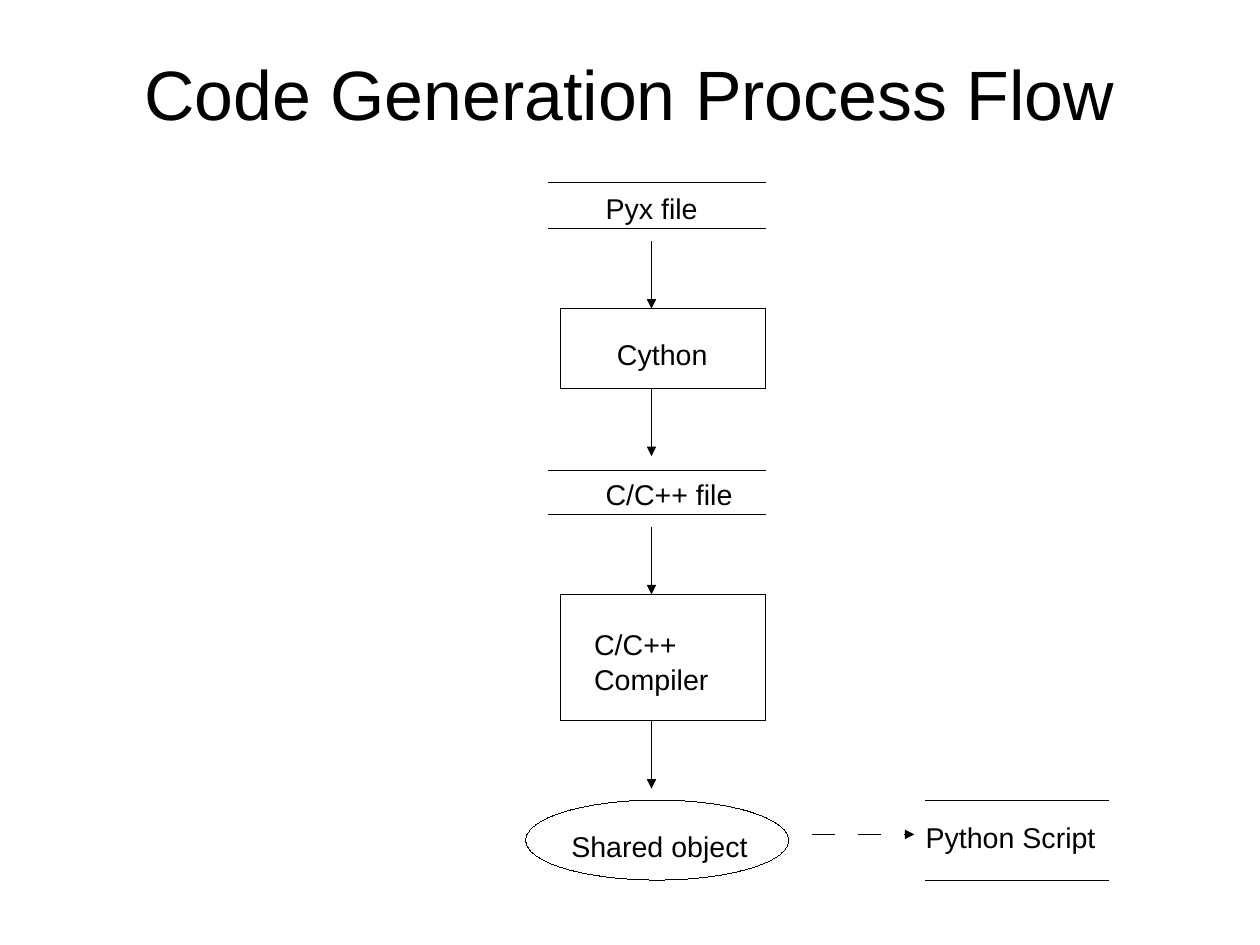
import pptx
import pptx.util
import pptx.dml.color
import pptx.enum.shapes
import pptx.enum.text
import pptx.oxml
import pptx.oxml.ns

COLORS = {"ink": "000000", "paper": "FFFFFF"}
FONT = "Arial"
INK = pptx.dml.color.RGBColor.from_string(COLORS["ink"])
SHAPE = pptx.enum.shapes.MSO_SHAPE
CELL = pptx.util.Inches(0.1)  # the slide is laid out on a 0.1 inch grid
HAIRLINE = pptx.util.Emu(1)  # a width of 0 would fall back to the theme's line

prs = pptx.Presentation()
prs.slide_width = pptx.util.Mm(280)
prs.slide_height = pptx.util.Mm(210)
s = prs.slides.add_slide(prs.slide_layouts[6])
s.background.fill.solid()
s.background.fill.fore_color.rgb = pptx.dml.color.RGBColor.from_string(COLORS["paper"])


def add_text(text, col, row, cols, rows, size=18):
    sp = s.shapes.add_textbox(*(int(n * CELL) for n in (col, row, cols, rows)))
    tf = sp.text_frame
    tf.word_wrap = True
    tf.text = text
    font = tf.paragraphs[0].runs[0].font
    font.size, font.name = pptx.util.Pt(size), FONT
    font.color.rgb = INK
    return tf


def add_line(x1, y1, x2, y2, arrow=False, dashed=False):
    """Draw a hairline between grid points, with its arrowhead at the second."""
    sp = s.shapes.add_connector(pptx.enum.shapes.MSO_CONNECTOR.STRAIGHT,
                                *(int(n * CELL) for n in (x1, y1, x2, y2)))
    sp.line.color.rgb = INK
    sp.line.width = HAIRLINE
    ln = sp._element.spPr.find(pptx.oxml.ns.qn("a:ln"))
    ns = pptx.oxml.ns.nsdecls("a")
    if dashed:
        ln.append(pptx.oxml.parse_xml(
            f'<a:custDash {ns}><a:ds d="1900000" sp="1900000"/></a:custDash>'))
    if arrow:
        ln.append(pptx.oxml.parse_xml(f'<a:tailEnd {ns} type="triangle"/>'))
    sp._element.spPr.append(pptx.oxml.parse_xml(f"<a:effectLst {ns}/>"))


# Title
tf = add_text("Code Generation Process Flow", 5.5, 1.2, 99.2, 13.8, size=44)
tf.margin_left = tf.margin_right = tf.margin_top = tf.margin_bottom = 0
tf.vertical_anchor = pptx.enum.text.MSO_ANCHOR.MIDDLE
tf.paragraphs[0].alignment = pptx.enum.text.PP_ALIGN.CENTER

# Process steps: outline, then label
steps = [
    (SHAPE.RECTANGLE, (49, 27, 18, 7), "Cython", (53, 29, 11, 3.8)),
    (SHAPE.RECTANGLE, (49, 52, 18, 11), "C/C++ Compiler", (51, 54.4, 13, 6.6)),
    (SHAPE.OVAL, (46, 70, 23, 7), "Shared object", (49, 72, 18, 3.8)),
]
for kind, box, label, label_box in steps:
    sp = s.shapes.add_shape(kind, *(n * CELL for n in box))
    sp.shadow.inherit = False
    sp.fill.background()
    sp.line.color.rgb = INK
    sp.line.width = HAIRLINE
    add_text(label, *label_box)

# Files: a label between two rules
files = [
    ("Pyx file", (52, 16.2, 11, 3.8), 48, 67, (16, 20)),
    ("C/C++ file", (52, 41.2, 18, 3.8), 48, 67, (41.2, 45)),
    ("Python Script", (80, 71.2, 18, 3.8), 81, 97, (70, 77)),
]
for label, label_box, left, right, rules in files:
    for row in rules:
        add_line(left, row, right, row)
    add_text(label, *label_box)

# Flow downwards, then across to the script
for row in (21.1, 34, 46.1, 63.1):
    add_line(57, row, 57, row + 5.9, arrow=True)
add_line(71, 73, 80, 73, arrow=True, dashed=True)

prs.save("out.pptx")
